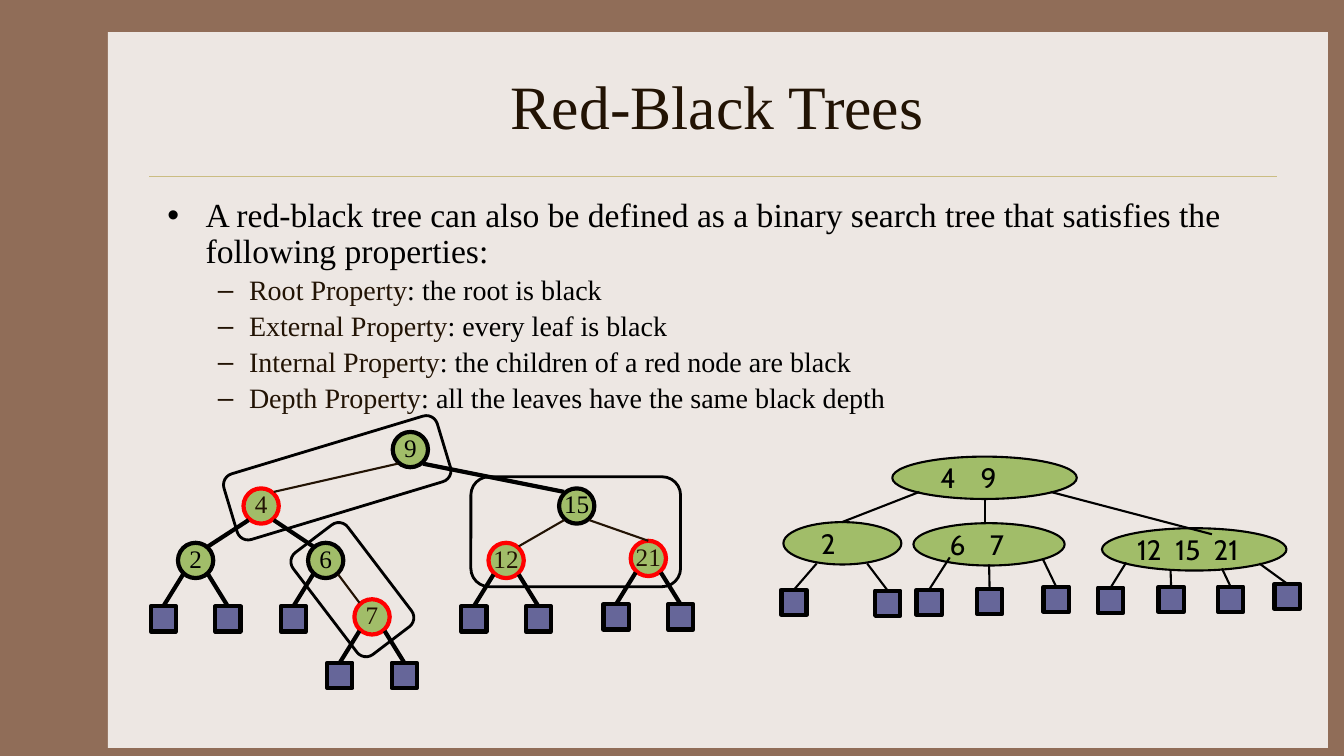
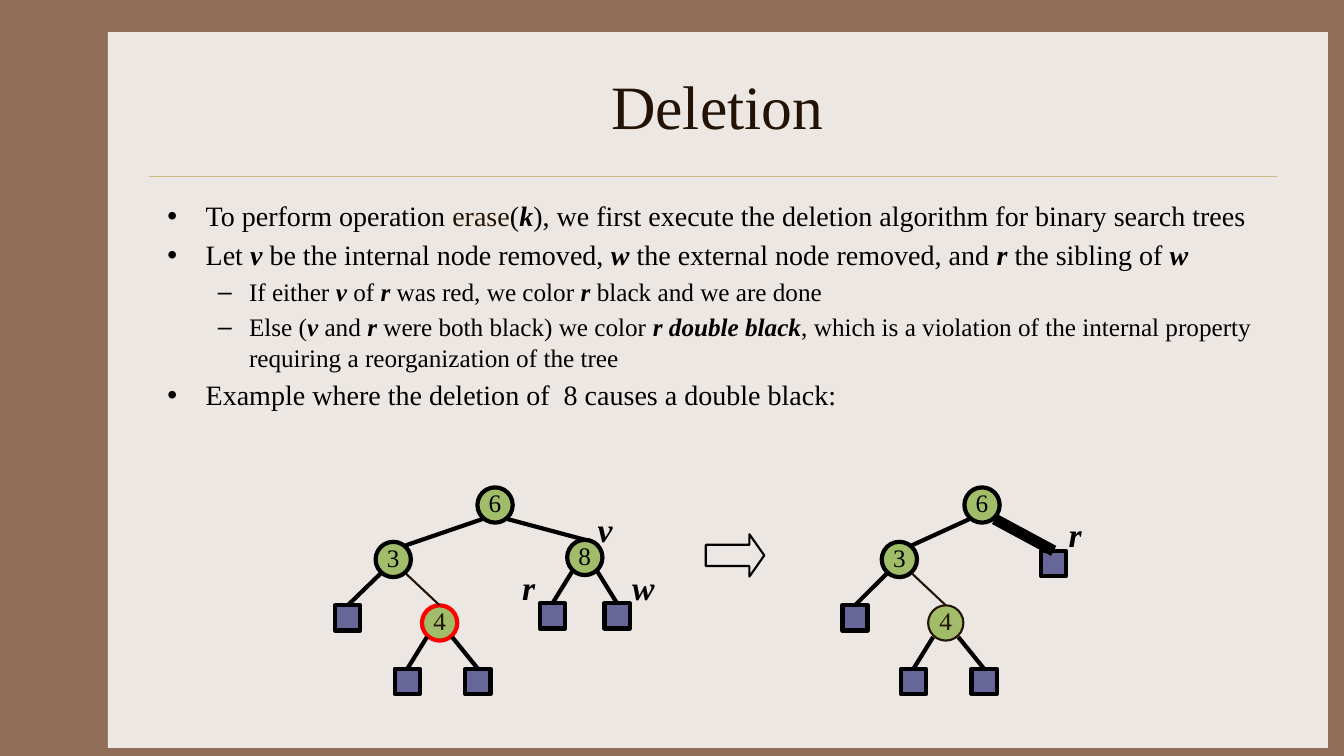
"""Builds two slides on red-black trees: their properties, and deletion."""
from lxml.etree import SubElement
from pptx import Presentation
from pptx.dml.color import RGBColor
from pptx.enum.shapes import MSO_CONNECTOR, MSO_SHAPE
from pptx.enum.text import MSO_ANCHOR, MSO_AUTO_SIZE, PP_ALIGN
from pptx.oxml.ns import qn
from pptx.util import Inches, Pt

SERIF, SANS = "Times New Roman", "Cabin"
BLACK, BROWN, RED = "000000", "221304", "FF0000"
FRAME, PANEL, RULE = "906D58", "EDE7E3", "CBBD83"
GREEN, VIOLET = "A1BD69", "666699"

NODE, LEAF, LEAF_DROP, CORNER = 0.35, 0.25, 0.58, 0.125
WIDE_NODE_HEIGHT = 0.42
LEVEL_INDENTS = [(0.38, -0.38), (0.81, -0.31)]
MARKS = {"*": {"bold": True, "italic": True}, "^": {"color": BROWN}}

# ring colour, ring width, label colour, edge colour, edge width
NODE_STYLES = {
    "black": (BLACK, 3, BLACK, BLACK, 3),
    "red": (RED, 3, BROWN, BROWN, 1.5),
    "plain": (BROWN, 1.5, BROWN, BROWN, 1.5),
}

PROPERTIES = {
    "title": "Red-Black Trees",
    "height": 2.45,
    "sizes": (24, 20),
    "spacing": 0.9,
    "body": [
        (0, "A red-black tree can also be defined as a binary search tree that "
            "satisfies the following properties:"),
        (1, "|^Root Property|: the root is black"),
        (1, "|^External Property|: every leaf is black"),
        (1, "|^Internal Property|: the children of a red node are black"),
        (1, "|^Depth Property|: all the leaves have the same black depth"),
    ],
}
DELETION = {
    "title": "Deletion",
    "height": 4.5,
    "sizes": (20, 18),
    "spacing": 1.0,
    "body": [
        (0, "To perform operation |^erase|(|*k|), we first execute the deletion "
            "algorithm for binary search trees"),
        (0, "Let |*v| be the internal node removed, |*w| the external node "
            "removed, and |*r| the sibling of |*w"),
        (1, "If either |*v| of |*r| was red, we color |*r| black and we are done"),
        (1, "Else (|*v| and |*r| were both black) we color |*r double black|, "
            "which is a violation of the internal property requiring a "
            "reorganization of the tree"),
        (0, "Example where the deletion of  8 causes a double black:"),
    ],
}

# label: centre x, centre y, style, parent, where the edge arrives, leaf offsets
PAIR, WIDE_PAIR = (-0.32, 0.32), (-0.32, 0.38)
SEARCH_TREE = {
    "9": (4.07, 4.46, "black", None, None, ()),
    "15": (5.72, 5.02, "black", "9", "corner", ()),
    "4": (2.59, 5.02, "red", "9", "corner", ()),
    "2": (1.94, 5.56, "black", "4", "corner", PAIR),
    "6": (3.23, 5.56, "black", "4", "corner", PAIR[:1]),
    "7": (3.69, 6.12, "red", "6", "corner", PAIR),
    "12": (5.02, 5.56, "red", "15", "corner", PAIR),
    "21": (6.43, 5.54, "red", "15", "top", PAIR),
}
BEFORE_TREE = {
    "6": (4.91, 5.01, "black", None, None, ()),
    "3": (3.9, 5.55, "black", "6", "corner", (-0.45,)),
    "8": (5.8, 5.53, "black", "6", "top", PAIR),
    "4": (4.36, 6.18, "red", "3", "top", WIDE_PAIR),
}
AFTER_TREE = {
    "6": (9.74, 5.01, "black", None, None, (0.71,)),
    "3": (8.92, 5.55, "black", "6", "corner", (-0.44,)),
    "4": (9.38, 6.18, "plain", "3", "top", WIDE_PAIR),
}
DOUBLE_BLACK_EDGE = 8

# left, top, width, rows height, rotation
GROUPINGS = [
    (2.24, 4.4, 2.21, 0.68, 343.2),
    (2.86, 5.51, 1.27, 0.68, 52.7),
    (4.67, 4.73, 2.08, 1.09, 0),
]

# keys, left, top, width, left inset, key gap, leaves: (left, top, edge x, edge y)
WIDE_NODES = [
    ("4 9", 8.85, 4.53, 1.83, 0.21, 0.4, []),
    ("2", 7.77, 5.18, 1.17, 0.2, 0.4,
     [(7.75, 5.85, 8.1, 5.59), (8.68, 5.86, 8.6, 5.59)]),
    ("6 7", 9.06, 5.19, 1.5, 0.14, 0.4,
     [(9.09, 5.85, 9.42, 5.53), (9.69, 5.84, 9.81, 5.6),
      (10.35, 5.82, 10.34, 5.54)]),
    ("12 15 21", 10.93, 5.24, 1.83, 0.08, 0.38,
     [(10.89, 5.83, 11.17, 5.58), (11.49, 5.82, 11.61, 5.66),
      (12.08, 5.82, 12.12, 5.64), (12.64, 5.79, 12.49, 5.59)]),
]
WIDE_EDGES = [
    (9.12, 4.88, 8.35, 5.18),
    (9.77, 4.95, 9.77, 5.18),
    (10.42, 4.88, 12.02, 5.3),
]
CALLOUTS = [
    ("v", 5.83, 5, 0.34),
    ("r", 5.08, 5.58, 0.34),
    ("w", 6.17, 5.58, 0.42),
    ("r", 10.5, 5.05, 0.5),
]


def rgb(code):
    """Turns a hex string into a colour."""
    return RGBColor.from_string(code)


def set_font(font, color=BLACK, **formats):
    """Applies a colour and a dict of format values to a font."""
    font.color.rgb = rgb(color)
    for key, value in ({"name": SERIF} | formats).items():
        setattr(font, key, value)


def set_frame(frame, **formats):
    """Applies format values to a text frame."""
    for key, value in formats.items():
        setattr(frame, key, value)


def add_preset(slide, preset, box, fill=None, line=None, width=1):
    """Adds a preset shape with flat fill and outline."""
    shape = slide.shapes.add_shape(preset, *map(Inches, box))
    shape.shadow.inherit = False
    if fill:
        shape.fill.solid()
        shape.fill.fore_color.rgb = rgb(fill)
    else:
        shape.fill.background()
    if line:
        shape.line.color.rgb = rgb(line)
        shape.line.width = Pt(width)
    else:
        shape.line.fill.background()
    return shape


def add_edge(slide, start, end, color=BLACK, width=1.5, child=None):
    """Adds a straight line, joined to the top of a child if one is given."""
    edge = slide.shapes.add_connector(
        MSO_CONNECTOR.STRAIGHT, *map(Inches, (*start, *end)))
    if child is not None:
        edge.end_connect(child, 0)
    edge.line.color.rgb = rgb(color)
    edge.line.width = Pt(width)
    SubElement(edge._element.spPr, qn("a:effectLst"))
    return edge


def add_leaf(slide, left, top):
    """Adds an external node."""
    return add_preset(slide, MSO_SHAPE.RECTANGLE, (left, top, LEAF, LEAF),
                      VIOLET, BLACK, 3)


def add_node(slide, label, x, y, style):
    """Adds a round internal node with its key."""
    ring, width, ink = NODE_STYLES[style][:3]
    node = add_preset(slide, MSO_SHAPE.OVAL,
                      (x - NODE / 2, y - NODE / 2, NODE, NODE), GREEN, ring, width)
    set_frame(node.text_frame, margin_left=0, margin_right=0, margin_top=0,
              margin_bottom=Inches(0.05), word_wrap=False,
              vertical_anchor=MSO_ANCHOR.MIDDLE)
    key = node.text_frame.paragraphs[0]
    key.alignment = PP_ALIGN.CENTER
    run = key.add_run()
    run.text = label
    set_font(run.font, ink, size=Pt(18))
    return node


def add_tree(slide, tree, leaf_edges=None):
    """Draws a binary tree: nodes, the edges to them, and their leaves."""
    leaf_edges = leaf_edges or {}
    for label, (x, y, style, parent, arrival, offsets) in tree.items():
        node = add_node(slide, label, x, y, style)
        if parent:
            px, py = tree[parent][:2]
            side = CORNER if x > px else -CORNER
            add_edge(slide, (px + side, py + 0.14), (x - side, y - 0.14),
                     *NODE_STYLES[style][3:],
                     child=node if arrival == "top" else None)
        for offset in offsets:
            leaf = add_leaf(slide, x + offset - LEAF / 2, y + LEAF_DROP - LEAF / 2)
            side = CORNER if offset > 0 else -CORNER
            add_edge(slide, (x + side, y + 0.14), (x + offset, y + LEAF_DROP),
                     width=leaf_edges.get(label, 3), child=leaf)


def add_wide_node(slide, keys, left, top, width, inset, gap, leaves):
    """Draws a multi-key node with tabbed keys and its leaves."""
    node = add_preset(slide, MSO_SHAPE.OVAL, (left, top, width, WIDE_NODE_HEIGHT),
                      GREEN, BLACK, 1.5)
    set_frame(node.text_frame, margin_left=Inches(inset), margin_right=0,
              margin_top=0, margin_bottom=0, word_wrap=True,
              vertical_anchor=MSO_ANCHOR.MIDDLE)
    row = node.text_frame.paragraphs[0]
    row.alignment = PP_ALIGN.LEFT
    names = keys.split()
    if len(names) > 1:
        stops = SubElement(row._p.get_or_add_pPr(), qn("a:tabLst"))
        for column in range(1, len(names)):
            SubElement(stops, qn("a:tab"), pos=str(Inches(column * gap)), algn="l")
    run = row.add_run()
    run.text = "\t".join(names)
    set_font(run.font, name=SANS, size=Pt(20))
    for leaf_left, leaf_top, x, y in leaves:
        leaf = add_leaf(slide, leaf_left, leaf_top)
        add_edge(slide, (x, y), (leaf_left, leaf_top), child=leaf)


def style_layout(layout, slide):
    """Puts the frame, panel, rule and placeholder places on the layout."""
    layout.background.fill.solid()
    layout.background.fill.fore_color.rgb = rgb(FRAME)
    panel = add_preset(slide, MSO_SHAPE.RECTANGLE, (1.07, 0.32, 12.1, 7.1), PANEL)
    rule = add_edge(slide, (1.48, 1.75), (12.67, 1.75), RULE, 0.25)
    for position, part in enumerate((panel, rule), start=2):
        layout.shapes._spTree.insert(position, part._element)


def fill_text(slide, content):
    """Writes the title and the marked-up body list."""
    title, body = slide.shapes.title, slide.placeholders[1]
    places = [(title, 0.42, 1.25), (body, 1.92, content["height"])]
    for holder, top, height in places:
        holder.left, holder.top, holder.width, holder.height = map(
            Inches, (1.56, top, 11.11, height))
        holder.text_frame.auto_size = MSO_AUTO_SIZE.NONE
    title.text_frame.text = content["title"]
    set_font(title.text_frame.paragraphs[0].runs[0].font, BROWN, size=Pt(44))
    for index, (level, text) in enumerate(content["body"]):
        frame = body.text_frame
        item = frame.add_paragraph() if index else frame.paragraphs[0]
        item.level = level
        item.line_spacing = content["spacing"]
        if not index:
            item.space_before = Pt(0)
        margin, indent = LEVEL_INDENTS[level]
        properties = item._p.get_or_add_pPr()
        properties.set("marL", str(Inches(margin)))
        properties.set("indent", str(Inches(indent)))
        for part in filter(None, text.split("|")):
            run = item.add_run()
            run.text = part.lstrip("*^")
            set_font(run.font, size=Pt(content["sizes"][level]),
                     **MARKS.get(part[0], {}))


def add_callout(slide, letter, left, top, width):
    """Adds a bold italic letter beside a node."""
    box = slide.shapes.add_textbox(*map(Inches, (left, top, width, 0.5)))
    box.text_frame.word_wrap = True
    run = box.text_frame.paragraphs[0].add_run()
    run.text = letter
    set_font(run.font, size=Pt(24), bold=True, italic=True)


def main():
    """Builds and saves the presentation."""
    deck = Presentation()
    deck.slide_width, deck.slide_height = Inches(13.33), Inches(7.5)
    layout = deck.slide_layouts[1]
    properties, deletion = (deck.slides.add_slide(layout) for _ in range(2))
    style_layout(layout, properties)

    fill_text(properties, PROPERTIES)
    add_tree(properties, SEARCH_TREE)
    for *box, rotation in GROUPINGS:
        add_preset(properties, MSO_SHAPE.ROUNDED_RECTANGLE, box,
                   line=BLACK, width=2).rotation = rotation
    for wide_node in WIDE_NODES:
        add_wide_node(properties, *wide_node)
    for x1, y1, x2, y2 in WIDE_EDGES:
        add_edge(properties, (x1, y1), (x2, y2))

    fill_text(deletion, DELETION)
    add_tree(deletion, BEFORE_TREE)
    add_tree(deletion, AFTER_TREE, {"6": DOUBLE_BLACK_EDGE})
    becomes = add_preset(deletion, MSO_SHAPE.RIGHT_ARROW, (7, 5.3, 0.58, 0.42),
                         line=BLACK, width=1.5)
    becomes.adjustments[1] = 0.35
    for callout in CALLOUTS:
        add_callout(deletion, *callout)
    deck.save("out.pptx")


if __name__ == "__main__":
    main()
